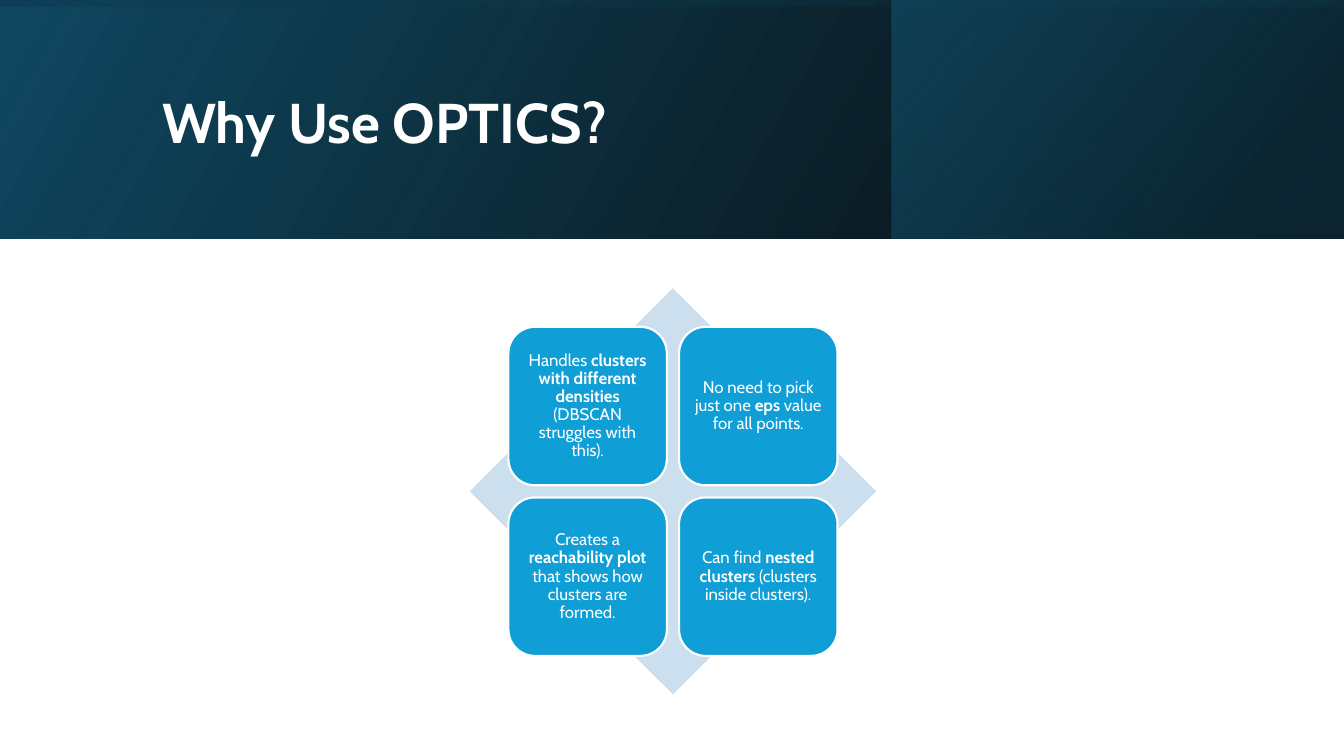
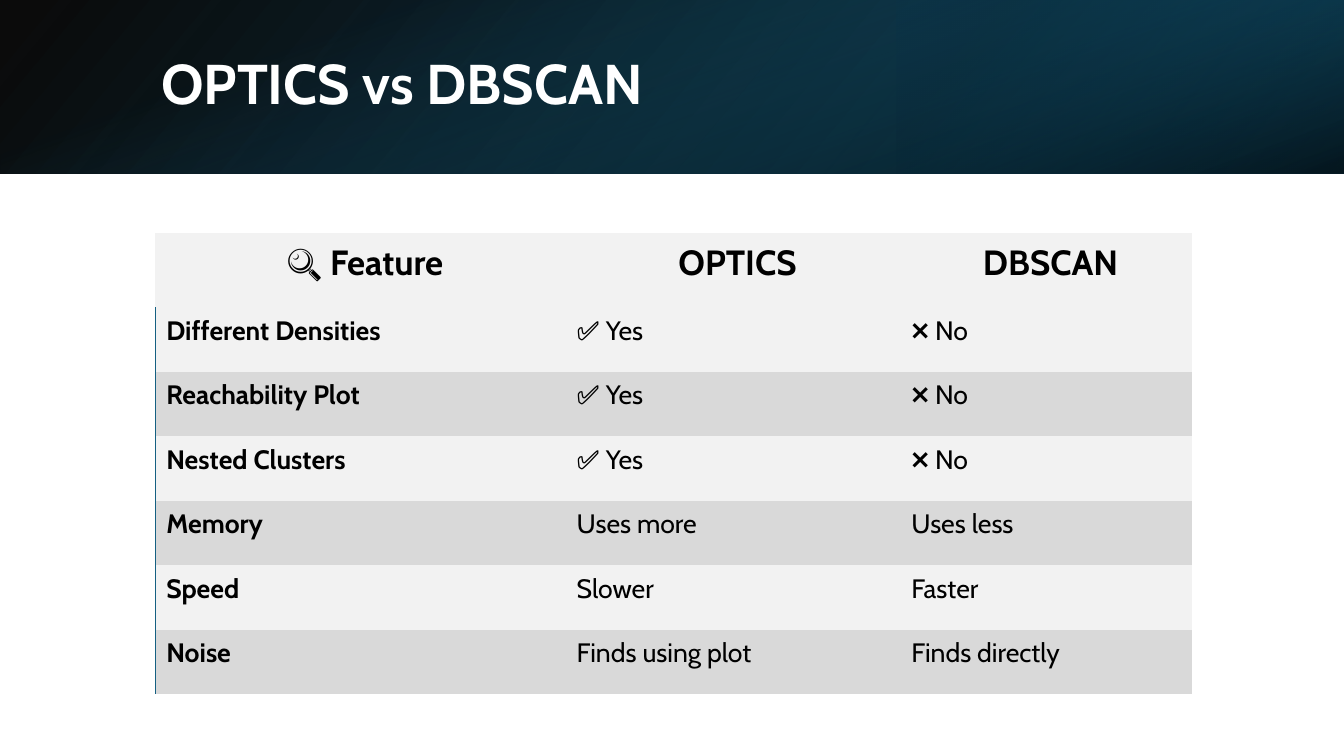
from lxml import etree
from pptx import Presentation
from pptx.dml.color import RGBColor
from pptx.enum.shapes import MSO_SHAPE
from pptx.enum.text import MSO_ANCHOR, PP_ALIGN
from pptx.oxml.ns import qn
from pptx.util import Inches, Pt

RECT, DIAMOND, ROUNDED = MSO_SHAPE.RECTANGLE, MSO_SHAPE.DIAMOND, MSO_SHAPE.ROUNDED_RECTANGLE
LEFT, CENTER = PP_ALIGN.LEFT, PP_ALIGN.CENTER
MIDDLE, BOTTOM = MSO_ANCHOR.MIDDLE, MSO_ANCHOR.BOTTOM

WIDTH, HEIGHT = 13.33, 7.5
FONT = "Cabin"
NO_STYLE_NO_GRID = "{2D5ABB26-0587-4C30-8999-92F81FD0307C}"
COLORS = {
    "white": "FFFFFF", "black": "000000",
    "deep": "104862", "navy": "0B3041", "teal": "156082",
    "tile": "0F9ED5", "diamond": "CCDFEF",
    "light": "F2F2F2", "gray": "D9D9D9",
}

REASONS = [
    "Handles **clusters with different densities** (DBSCAN struggles with this).",
    "No need to pick just one **eps** value for all points.",
    "Creates a **reachability plot** that shows how clusters are formed.",
    "Can find **nested clusters** (clusters inside clusters).",
]
COMPARISON = [
    ("🔍 Feature", "OPTICS", "DBSCAN"),
    ("Different Densities", "✅ Yes", "❌ No"),
    ("Reachability Plot", "✅ Yes", "❌ No"),
    ("Nested Clusters", "✅ Yes", "❌ No"),
    ("Memory", "Uses more", "Uses less"),
    ("Speed", "Slower", "Faster"),
    ("Noise", "Finds using plot", "Finds directly"),
]


def rgb(name):
    return RGBColor.from_string(COLORS[name])


def write(frame, text, size, color="white", bold=False, align=LEFT, spacing=0.9, after=0):
    """Fill a text frame with one paragraph; **marks** switch bold."""
    paragraph = frame.paragraphs[0]
    paragraph.alignment = align
    paragraph.line_spacing = spacing
    paragraph.space_after = Pt(after)
    for index, part in enumerate(text.split("**")):
        run = paragraph.add_run()
        run.text = part
        run.font.name = FONT
        run.font.size = Pt(size)
        run.font.bold = bold or index % 2 == 1
        run.font.color.rgb = rgb(color)


def add_figure(slide, kind, box, fill=None, outline=None):
    figure = slide.shapes.add_shape(kind, *map(Inches, box))
    figure.shadow.inherit = False
    if fill:
        figure.fill.solid()
        figure.fill.fore_color.rgb = rgb(fill)
    if outline:
        figure.line.color.rgb = rgb(outline)
        figure.line.width = Pt(1.5)
    else:
        figure.line.fill.background()
    return figure


def add_band(slide, left, width, height, stops, angle, turn=0, flip=True):
    """Add a gradient band at the top; stops hold position, colour and opacity in percent."""
    box = (left, 0, width, height)
    if turn % 180:
        box = (left + (width - height) / 2, (height - width) / 2, height, width)
    band = add_figure(slide, RECT, box)
    band.rotation = turn
    if flip:
        band._element.spPr.find(qn("a:xfrm")).set("flipH", "1")
    band.fill.gradient()
    band.fill.gradient_angle = 360 - angle
    for stop, (position, color, _) in zip(band.fill.gradient_stops, stops):
        stop.position = position / 100
        stop.color.rgb = rgb(color)
    for tint, (_, _, opacity) in zip(band._element.spPr.iter(qn("a:srgbClr")), stops):
        etree.SubElement(tint, qn("a:alpha")).set("val", str(opacity * 1000))


def add_header(slide, title, height, title_box, bands):
    for left, *look in bands:
        add_band(slide, left, WIDTH - left, height, *look)
    frame = slide.shapes.add_textbox(*map(Inches, title_box)).text_frame
    frame.word_wrap = True
    frame.vertical_anchor = MIDDLE
    write(frame, title, 40, bold=True)


def add_reason_matrix(slide, left, top, side):
    add_figure(slide, DIAMOND, (left, top, side, side), "diamond")
    tile, inset = side * 0.39, side * 0.095
    pitch = side - 2 * inset - tile
    for index, reason in enumerate(REASONS):
        row, column = divmod(index, 2)
        box = (left + inset + column * pitch, top + inset + row * pitch, tile, tile)
        frame = add_figure(slide, ROUNDED, box, "tile", "white").text_frame
        frame.word_wrap = True
        frame.vertical_anchor = MIDDLE
        frame.margin_left = frame.margin_right = Inches(0.05)
        frame.margin_top = frame.margin_bottom = Inches(0.05)
        write(frame, reason, 12, align=CENTER)


def add_left_border(cell, color):
    border = etree.Element(qn("a:lnL"), w=str(Pt(1)))
    fill = etree.SubElement(border, qn("a:solidFill"))
    etree.SubElement(fill, qn("a:srgbClr")).set("val", COLORS[color])
    cell._tc.get_or_add_tcPr().insert(0, border)


def add_comparison(slide, left, top, widths, head_height, row_height):
    height = head_height + row_height * (len(COMPARISON) - 1)
    table = slide.shapes.add_table(
        len(COMPARISON), len(widths),
        *map(Inches, (left, top, sum(widths), height))).table
    table.first_row = table.horz_banding = False
    table._tbl.tblPr.find(qn("a:tableStyleId")).text = NO_STYLE_NO_GRID
    for column, width in zip(table.columns, widths):
        column.width = Inches(width)
    for r, texts in enumerate(COMPARISON):
        head = r == 0
        table.rows[r].height = Inches(head_height if head else row_height)
        for c, text in enumerate(texts):
            cell = table.cell(r, c)
            cell.fill.solid()
            cell.fill.fore_color.rgb = rgb("light" if head or r % 2 else "gray")
            cell.vertical_anchor = BOTTOM if head else MIDDLE
            cell.margin_left, cell.margin_top = Inches(0.11), Inches(0.03)
            cell.margin_right, cell.margin_bottom = Inches(0.02), Inches(0.23)
            write(cell.text_frame, text, 25 if head else 19, "black", head or c == 0,
                  CENTER if head else LEFT, spacing=1.07, after=8)
            if c == 0 and not head:
                add_left_border(cell, "teal")


def main():
    deck = Presentation()
    deck.slide_width, deck.slide_height = Inches(WIDTH), Inches(HEIGHT)
    blank = deck.slide_layouts[6]
    base = [(0, "black", 96), (100, "deep", 100)]

    why = deck.slides.add_slide(blank)
    add_header(why, "Why Use OPTICS?", 2.37, (1.51, 0.38, 10.63, 1.72), [
        (0, base, 330),
        (8.84, [(19, "navy", 68), (100, "teal", 48)], 320),
        (0, [(23, "deep", 16), (99, "black", 45)], 350, 270),
    ])
    add_reason_matrix(why, 4.66, 2.86, 4.03)

    versus = deck.slides.add_slide(blank)
    add_header(versus, "OPTICS vs DBSCAN", 1.72, (1.5, 0.38, 10.98, 0.96), [
        (0, base, 140),
        (8.89, [(19, "navy", 68), (100, "teal", 79)], 320, 180),
        (0, [(23, "teal", 0), (99, "black", 74)], 340, 90, False),
    ])
    add_comparison(versus, 1.54, 2.31, (4.07, 3.32, 2.89), 0.74, 0.64)

    deck.save("out.pptx")


if __name__ == "__main__":
    main()
